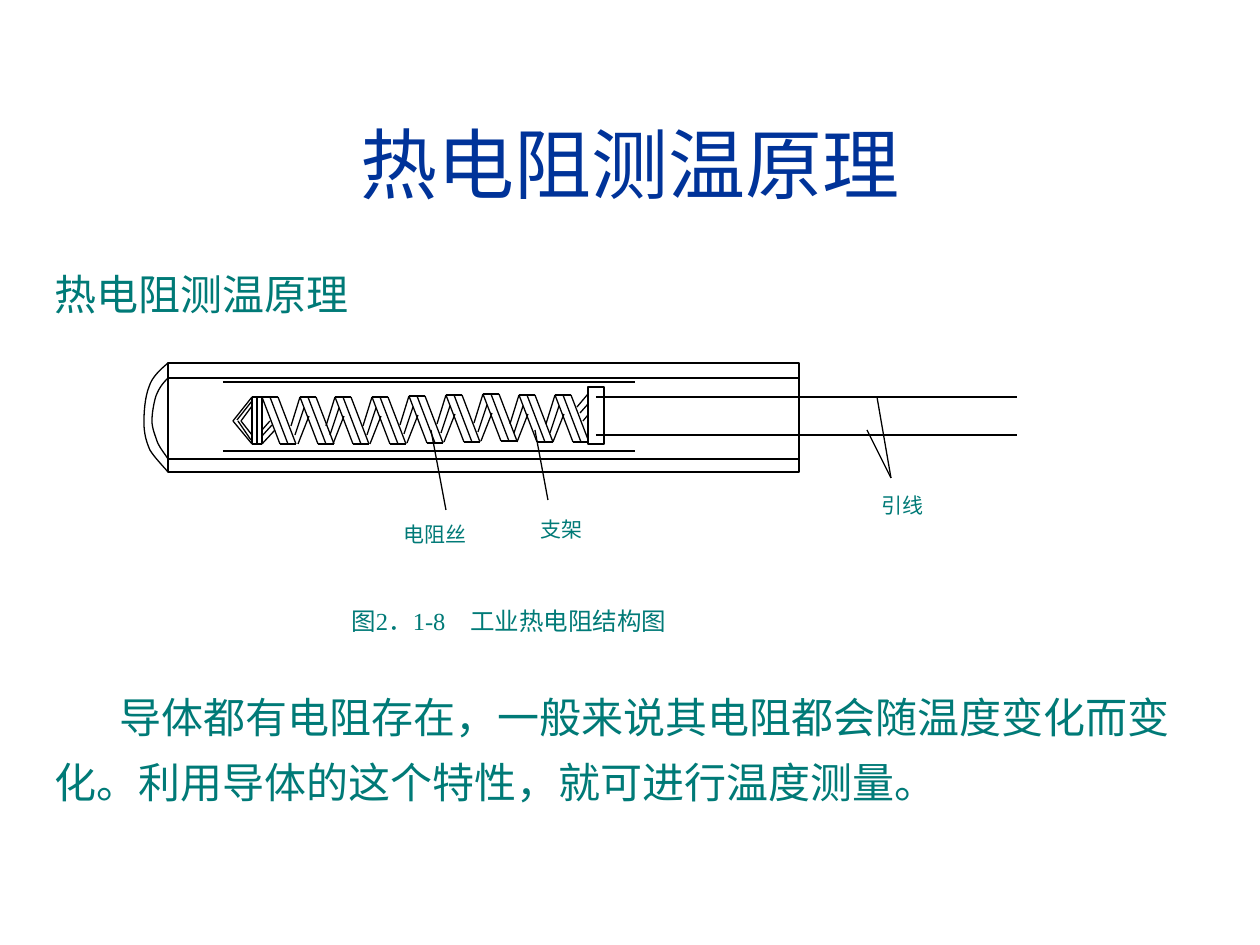
"""Builds a slide on the principle of resistance temperature measurement."""
from lxml import etree
from pptx import Presentation
from pptx.dml.color import RGBColor
from pptx.enum.shapes import MSO_CONNECTOR, MSO_SHAPE
from pptx.enum.text import MSO_ANCHOR, PP_ALIGN
from pptx.oxml.ns import qn
from pptx.util import Emu, Pt

BLUE = RGBColor(0x00, 0x33, 0x99)
TEAL = RGBColor(0x00, 0x7A, 0x77)
BLACK = RGBColor(0x00, 0x00, 0x00)
WHITE = RGBColor(0xFF, 0xFF, 0xFF)
SCALE = 914400 / 126

TITLE = "热电阻测温原理"
HEADING = "热电阻测温原理"
BODY = "导体都有电阻存在，一般来说其电阻都会随温度变化而变化。利用导体的这个特性，就可进行温度测量。"
LABELS = [
    ("引线", 869, 486, 97, 71, 12),
    ("支架", 528, 510, 97, 81, 12),
    ("电阻丝", 391, 515, 123, 81, 12),
    ("图2．1-8　工业热电阻结构图", 339, 600, 428, 81, 14),
]

TUBE = (168, 363, 631, 109)
BRACKET = (588, 387, 16, 57)
TUBE_WALLS = [(168, y, 799, y) for y in (378, 459)]
CAPS = [
    [(168, 363), (160, 370), (152, 377), (149, 387), (145, 397), (144, 412), (144, 422),
     (144, 433), (146, 441), (150, 450), (154, 457), (164, 467), (168, 472)],
    [(168, 378), (163, 383), (159, 388), (156, 396), (154, 402), (152, 413), (152, 421),
     (152, 428), (155, 435), (157, 441), (159, 447), (165, 454), (168, 459)],
]
FIRST_TURN = (262, 397)
TURNS = [(300, 397), (335, 397), (372, 397), (409, 396), (446, 395), (483, 394), (519, 395), (555, 395)]
BAND = [(0, 0, 18, 47), (16, 0, 34, 47), (0, 0, 16, 0), (18, 47, 34, 47), (8, 0, 26, 47)]
CROSSING = [(0, 0, -9, 29), (9, 19, -2, 47), (4, 11, -5, 38)]
TIP = [(x, 397, x, 444) for x in (252, 257, 262)] + [(252, y, 262, y) for y in (397, 444)] + [
    (252, 397, 233, 421), (233, 421, 252, 444), (252, 406, 241, 421), (241, 421, 252, 435),
    (252, 401, 237, 420), (238, 421, 251, 440),
    (270, 421, 262, 430), (275, 430, 262, 444), (272, 425, 262, 436),
]
COIL_END = [(588, 394, 577, 407), (588, 415, 583, 421), (588, 404, 580, 413), (588, 397, 588, 416)]
WIRES = [(596, y, 1017, y) for y in (397, 435)]
SLEEVE = [(223, y, 635, y) for y in (382, 451)]
LEADERS = [(891, 478, 867, 430), (891, 478, 877, 397), (548, 500, 535, 430), (446, 510, 431, 430)]


def px(*values):
    return [Emu(round(v * SCALE)) for v in values]


def style_line(sp):
    sp.line.color.rgb = BLACK
    sp.line.width = Pt(0.75)


def style_run(p, size, font, color):
    for r in p.runs:
        r.font.size, r.font.name, r.font.color.rgb = Pt(size), font, color


def add_lines(shapes, lines):
    for line in lines:
        c = shapes.add_connector(MSO_CONNECTOR.STRAIGHT, *px(*line))
        style_line(c)
        etree.SubElement(c._element.spPr, qn("a:effectLst"))


def add_rect(shapes, box):
    sp = shapes.add_shape(MSO_SHAPE.RECTANGLE, *px(*box))
    sp.shadow.inherit = False
    sp.fill.solid()
    sp.fill.fore_color.rgb = WHITE
    style_line(sp)


def curve_points(controls, steps=8):
    points = [controls[0]]
    for i in range(0, len(controls) - 1, 3):
        a, b, c, d = controls[i:i + 4]
        for n in range(1, steps + 1):
            t = n / steps
            u = 1 - t
            points.append(tuple(
                u**3 * a[k] + 3 * u * u * t * b[k] + 3 * u * t * t * c[k] + t**3 * d[k]
                for k in (0, 1)))
    return points


def add_curve(shapes, controls):
    start, *rest = [px(*point) for point in curve_points(controls)]
    builder = shapes.build_freeform(*start, scale=1.0)
    builder.add_line_segments(rest, close=False)
    sp = builder.convert_to_shape()
    sp.shadow.inherit = False
    sp.fill.background()
    style_line(sp)


def add_text(shapes, box, paragraphs, size, font, align):
    tf = shapes.add_textbox(*px(*box)).text_frame
    tf.word_wrap = True
    tf.text = "\n".join(paragraphs)
    for p in tf.paragraphs:
        p.alignment = align
        style_run(p, size, font, TEAL)
    return tf


def shifted(lines, x, y):
    return [(x + x1, y + y1, x + x2, y + y2) for x1, y1, x2, y2 in lines]


def main():
    prs = Presentation()
    prs.slide_width, prs.slide_height = px(1260, 945)
    slide = prs.slides.add_slide(prs.slide_layouts[5])

    title = slide.shapes.title
    title.left, title.top, title.width, title.height = px(42, 84, 1177, 158)
    tf = title.text_frame
    tf.text = TITLE
    tf.vertical_anchor = MSO_ANCHOR.MIDDLE
    tf.paragraphs[0].alignment = PP_ALIGN.CENTER
    style_run(tf.paragraphs[0], 44, "Arial", BLUE)

    tf = add_text(slide.shapes, (42, 262, 1177, 578), [HEADING, BODY], 24, "Arial", PP_ALIGN.LEFT)
    p = tf.paragraphs[1]
    p.space_before = Pt(205)
    p.line_spacing = Pt(37)
    p._p.get_or_add_pPr().set("indent", str(px(65)[0]))

    shapes = slide.shapes.add_group_shape().shapes
    add_rect(shapes, TUBE)
    add_lines(shapes, TUBE_WALLS)
    for cap in CAPS:
        add_curve(shapes, cap)
    add_lines(shapes, shifted(BAND, *FIRST_TURN))
    for turn in TURNS:
        add_lines(shapes, shifted(BAND + CROSSING, *turn))
    add_lines(shapes, TIP + COIL_END)
    add_rect(shapes, BRACKET)
    add_lines(shapes, WIRES + SLEEVE + LEADERS)
    for text, *box, size in LABELS:
        add_text(shapes, box, [text], size, "Times New Roman", PP_ALIGN.JUSTIFY)

    prs.save("out.pptx")


if __name__ == "__main__":
    main()
